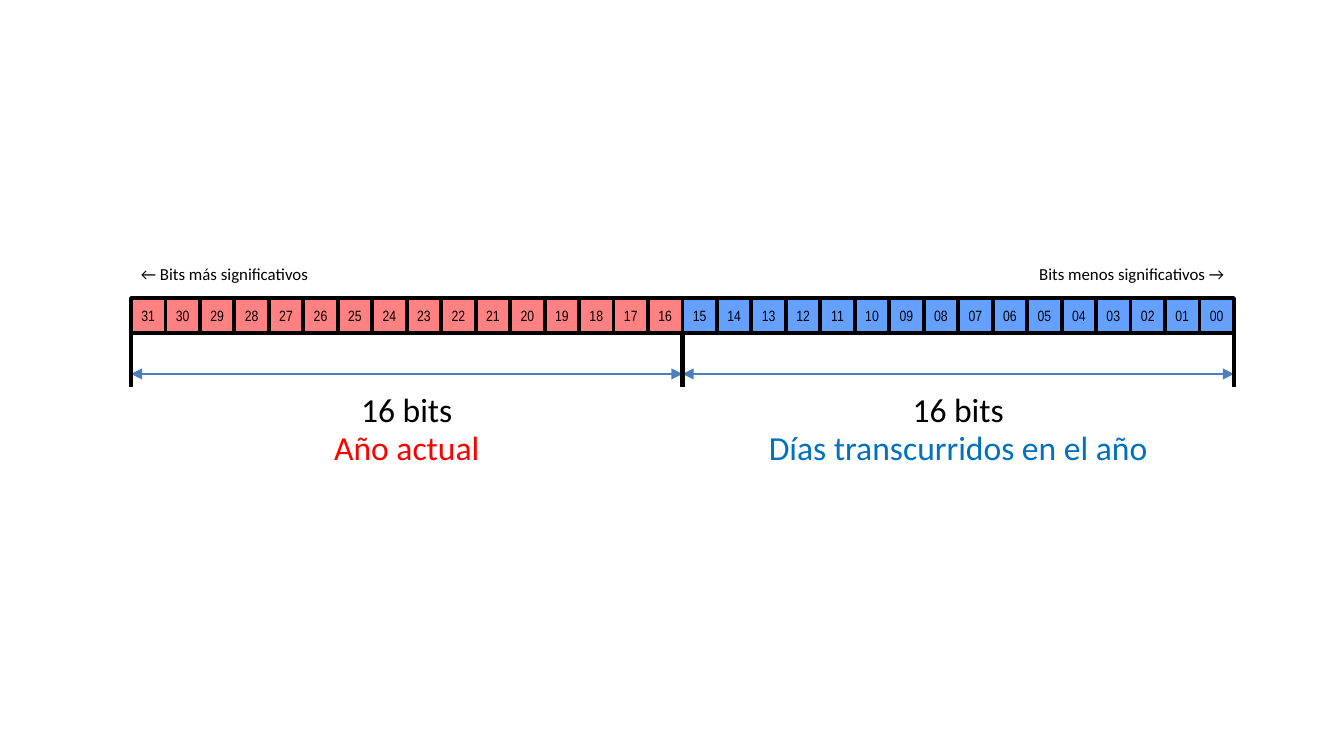
from dataclasses import dataclass

from lxml.etree import SubElement
from pptx import Presentation
from pptx.dml.color import RGBColor
from pptx.enum.shapes import MSO_CONNECTOR as Connector, MSO_SHAPE as Shape
from pptx.enum.text import MSO_ANCHOR as Anchor, MSO_AUTO_SIZE as AutoSize, PP_ALIGN as Align
from pptx.oxml.ns import qn
from pptx.util import Emu, Pt

EMU_PER_PIXEL = 914400 / 134.4
COLORS = {
    "black": "000000",
    "year_cell": "FF8181",
    "day_cell": "64A0FF",
    "arrow": "4B7EBC",
    "year_text": "FF0000",
    "day_text": "0070C0",
}
BITS = 32
HALF = BITS // 2
LEFT, RIGHT = 131, 1234
CELL_TOP, CELL_BOTTOM = 298, 333
TICK_BOTTOM, ARROW_Y = 387, 374
HINT_WIDTH = 276


@dataclass(frozen=True)
class Field:
    """A group of bits with its meaning."""
    first: int
    meaning: str
    cell_color: str
    text_color: str


@dataclass(frozen=True)
class Label:
    """A line of text and its box in pixels."""
    text: str
    left: float
    top: int
    width: float
    height: int
    size: int
    color: str = "black"
    align: Align = Align.CENTER


FIELDS = (
    Field(0, "Año actual", "year_cell", "year_text"),
    Field(HALF, "Días transcurridos en el año", "day_cell", "day_text"),
)
HINTS = (
    Label("← Bits más significativos", LEFT, 258, HINT_WIDTH, 31, 9, align=Align.LEFT),
    Label("Bits menos significativos →", RIGHT - HINT_WIDTH, 258, HINT_WIDTH, 31, 9,
          align=Align.RIGHT),
)


def px(pixels: float) -> Emu:
    """Turn pixels into EMU."""
    return Emu(round(pixels * EMU_PER_PIXEL))


def rgb(name: str) -> RGBColor:
    """Look up a named colour."""
    return RGBColor.from_string(COLORS[name])


def bit_edge(position: int) -> float:
    """Left edge of the cell at a position counted from the left."""
    return LEFT + (RIGHT - LEFT) * position / BITS


def write(shape, text: str, font: str, size: int, color: str, align: Align) -> None:
    """Put one formatted run into a shape."""
    frame = shape.text_frame
    frame.word_wrap = True
    frame.vertical_anchor = Anchor.MIDDLE
    frame.margin_left = frame.margin_right = px(10)
    frame.margin_top = frame.margin_bottom = px(5)
    para = frame.paragraphs[0]
    para.alignment = align
    span = para.add_run()
    span.text = text
    span.font.name = font
    span.font.size = Pt(size)
    span.font.color.rgb = rgb(color)


def draw_cell(page, position: int, color: str) -> None:
    """Draw one numbered bit."""
    left, right = bit_edge(position), bit_edge(position + 1)
    cell = page.shapes.add_shape(Shape.RECTANGLE, px(left), px(CELL_TOP),
                                 px(right - left), px(CELL_BOTTOM - CELL_TOP))
    cell.shadow.inherit = False
    cell.fill.solid()
    cell.fill.fore_color.rgb = rgb(color)
    cell.line.color.rgb = rgb("black")
    cell.line.width = Pt(2)
    write(cell, f"{BITS - 1 - position:02d}", "Arial Narrow", 8, "black", Align.CENTER)


def draw_line(page, start: tuple[float, float], end: tuple[float, float],
              color: str, width: float, arrows: bool = False) -> None:
    """Draw a straight line, with an arrowhead at both ends if asked."""
    line = page.shapes.add_connector(Connector.STRAIGHT, *map(px, start + end))
    line.line.color.rgb = rgb(color)
    line.line.width = Pt(width)
    if arrows:
        for tag in ("a:headEnd", "a:tailEnd"):
            SubElement(line.line._get_or_add_ln(), qn(tag), type="triangle")
    SubElement(line._element.spPr, qn("a:effectLst"))


def draw_label(page, label: Label) -> None:
    """Draw a text box."""
    box = page.shapes.add_textbox(px(label.left), px(label.top),
                                  px(label.width), px(label.height))
    write(box, label.text, "Calibri", label.size, label.color, label.align)
    box.text_frame.auto_size = AutoSize.SHAPE_TO_FIT_TEXT


def draw_field(page, field: Field) -> None:
    """Draw the cells, span arrow and captions of a field."""
    for position in range(field.first, field.first + HALF):
        draw_cell(page, position, field.cell_color)
    left, right = bit_edge(field.first), bit_edge(field.first + HALF)
    draw_line(page, (left, ARROW_Y), (right, ARROW_Y), "arrow", 1, arrows=True)
    draw_label(page, Label(f"{HALF} bits", left, 384, right - left, 51, 18))
    draw_label(page, Label(field.meaning, left, 422, right - left, 51, 18, field.text_color))


def main() -> None:
    """Build and save the slide."""
    deck = Presentation()
    deck.slide_width, deck.slide_height = px(1344), px(756)
    page = deck.slides.add_slide(deck.slide_layouts[6])
    for field in FIELDS:
        draw_field(page, field)
    for position in (0, HALF, BITS):
        edge = bit_edge(position)
        draw_line(page, (edge, CELL_BOTTOM), (edge, TICK_BOTTOM), "black", 2.25)
    for hint in HINTS:
        draw_label(page, hint)
    deck.save("out.pptx")


main()
